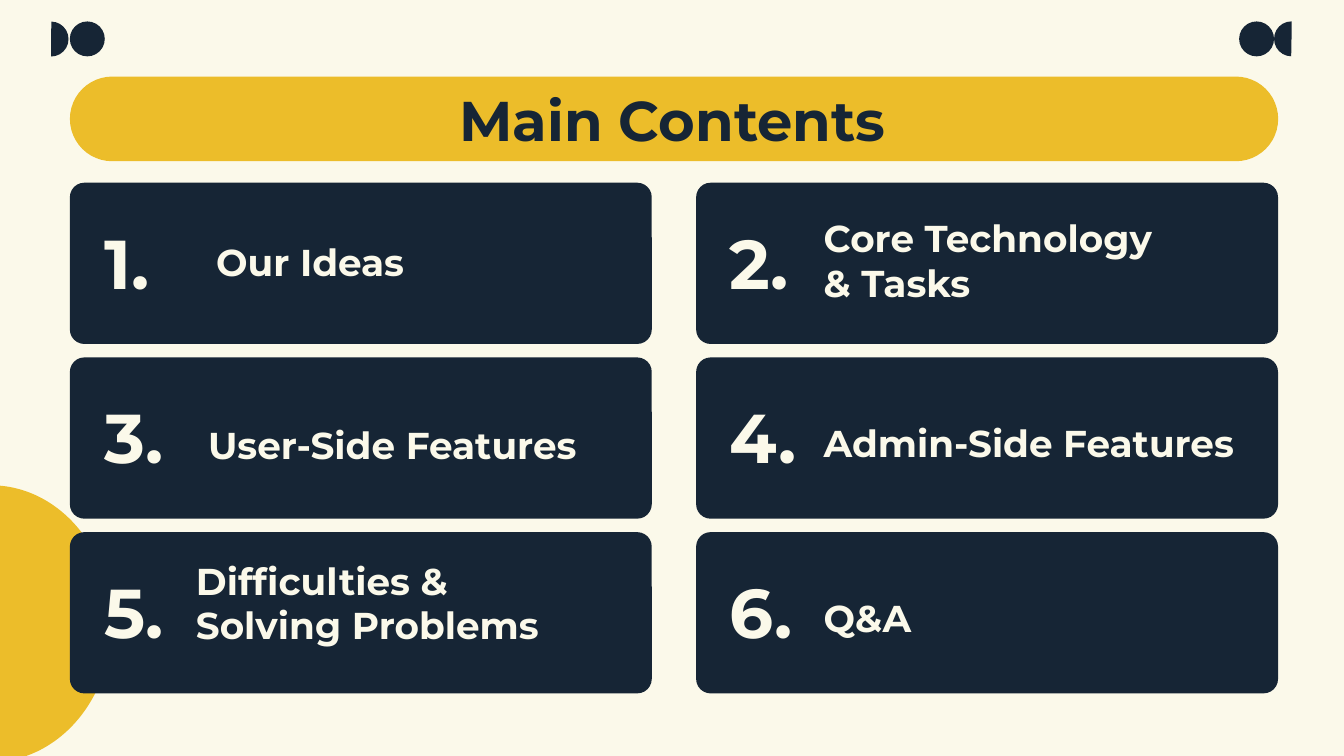
from pptx import Presentation
from pptx import util as u
from pptx.dml import color
from pptx.enum import shapes, text

THEME = {
    "cream": color.RGBColor.from_string("FBF9EA"),
    "navy": color.RGBColor.from_string("162535"),
    "yellow": color.RGBColor.from_string("ECBD2A"),
    "font": "Montserrat",
    "title": 30,
    "number": 37,
    "label": 20,
}
SHAPE = shapes.MSO_SHAPE
TOP, MIDDLE = text.MSO_ANCHOR.TOP, text.MSO_ANCHOR.MIDDLE
LEFT, CENTER = text.PP_ALIGN.LEFT, text.PP_ALIGN.CENTER

prs = Presentation()
prs.slide_width = u.Inches(10)
prs.slide_height = u.Inches(10) * 9 // 16  # widescreen
s = prs.slides.add_slide(prs.slide_layouts[5])
s.background.fill.solid()
s.background.fill.fore_color.rgb = THEME["cream"]


def add_block(kind, box, fill, adj=(), rotation=0):
    sp = s.shapes.add_shape(kind, *map(u.Inches, box))
    sp.shadow.inherit = False
    sp.fill.solid()
    sp.fill.fore_color.rgb = THEME[fill]
    sp.line.fill.background()
    sp.rotation = rotation
    for i, value in enumerate(adj):
        sp.adjustments[i] = value


def set_text(sp, words, size, ink, inset=0.1, anchor=MIDDLE, align=LEFT):
    tf = sp.text_frame
    margin = u.Inches(inset)
    frame = {"word_wrap": True, "auto_size": text.MSO_AUTO_SIZE.NONE,
             "vertical_anchor": anchor, "margin_left": margin, "margin_right": margin,
             "margin_top": margin, "margin_bottom": margin}
    for name, value in frame.items():
        setattr(tf, name, value)
    p = tf.paragraphs[0]
    p.text = words
    p.alignment = align
    for r in p.runs:
        for name, value in {"name": THEME["font"], "size": u.Pt(THEME[size]), "bold": True}.items():
            setattr(r.font, name, value)
        r.font.color.rgb = THEME[ink]


# Half circle at the left edge
add_block(SHAPE.PIE, (-0.97, 3.61, 1.8, 2.06), "yellow", (53.46, 162), 180)

# Corner ornaments: a half dot and a full dot, mirrored
dot = 0.26
for half_x, full_x, rotation in ((0.25, 0.52, 180), (9.48, 9.22, 0)):
    add_block(SHAPE.PIE, (half_x, 0.16, dot, dot), "navy", (54.58, 162), rotation)
    add_block(SHAPE.OVAL, (full_x, 0.16, dot, dot), "navy")

# Title on its pill
add_block(SHAPE.ROUNDED_RECTANGLE, (0.52, 0.57, 8.99, 0.63), "yellow", (0.5,))
title = s.shapes.title
for name, value in zip(("left", "top", "width", "height"), (0.79, 0.57, 8.43, 0.63)):
    setattr(title, name, u.Inches(value))
set_text(title, "Main Contents", "title", "navy", inset=0, align=CENTER)
s.shapes._spTree.append(title._element)  # bring in front of the pill

# Cards in two columns and three rows: label, then its left, top, width, height
items = [
    ("Our Ideas", (1.51, 1.68, 3.1, 0.43)),
    ("Core Technology\v& Tasks", (6.03, 1.5, 3.1, 0.92)),
    ("User-Side Features", (1.45, 3.04, 3.1, 0.43)),
    ("Admin-Side Features", (6.03, 3.03, 3.3, 0.43)),
    ("Difficulties & Solving Problems", (1.36, 4.05, 3.1, 1)),
    ("Q&A", (6.03, 4.33, 3.1, 0.43)),
]
for i, (label, box) in enumerate(items):
    row, col = divmod(i, 2)
    x, y = 0.52 + 4.66 * col, 1.36 + 1.3 * row
    add_block(SHAPE.ROUNDED_RECTANGLE, (x, y, 4.33, 1.2), "navy", (0.09,))
    number_box = (0.68 + 4.65 * col, y + 0.13, 0.96, 0.91)
    set_text(s.shapes.add_textbox(*map(u.Inches, number_box)), f"{i + 1}.", "number", "cream")
    set_text(s.shapes.add_textbox(*map(u.Inches, box)), label, "label", "cream", anchor=TOP)

prs.save("out.pptx")
